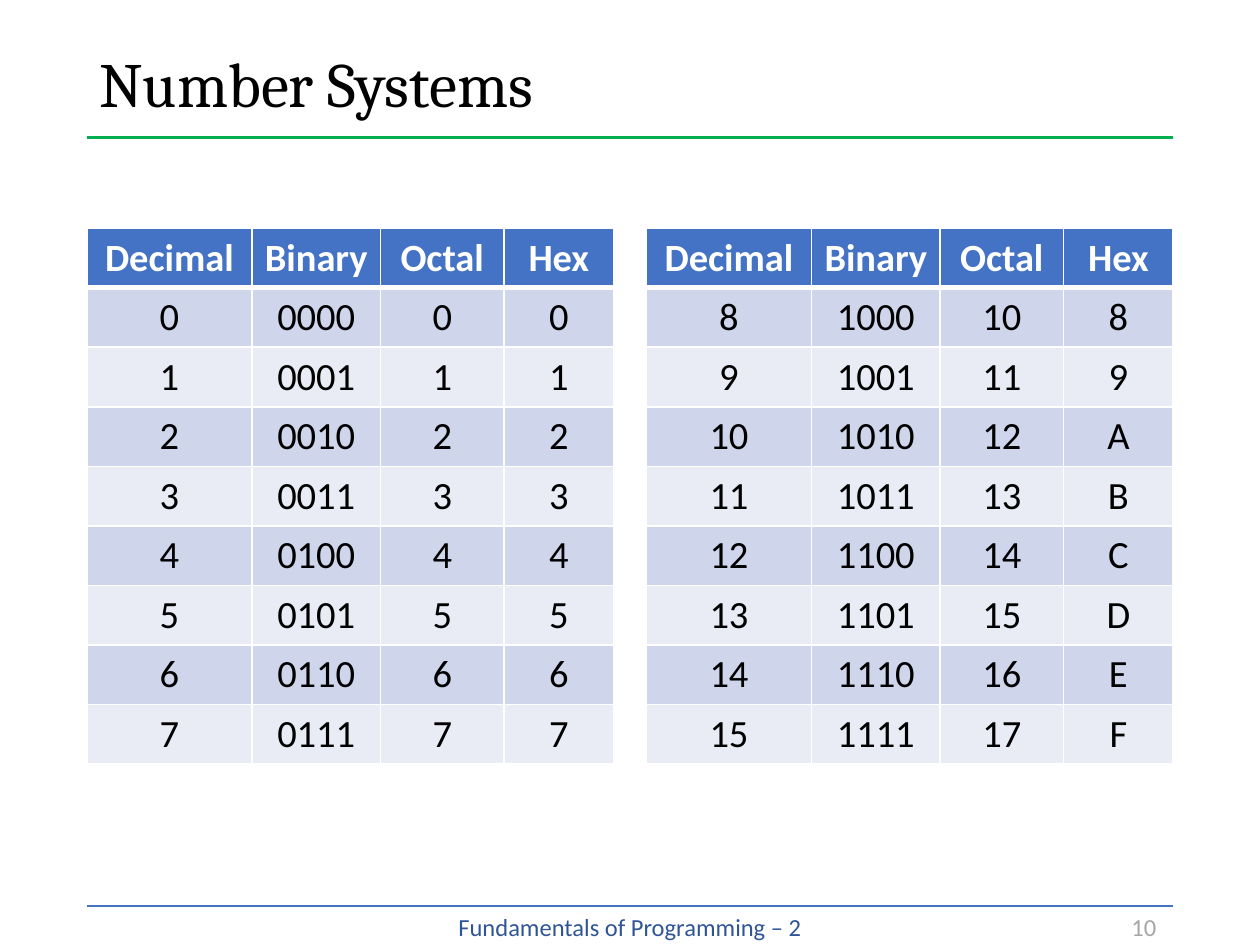
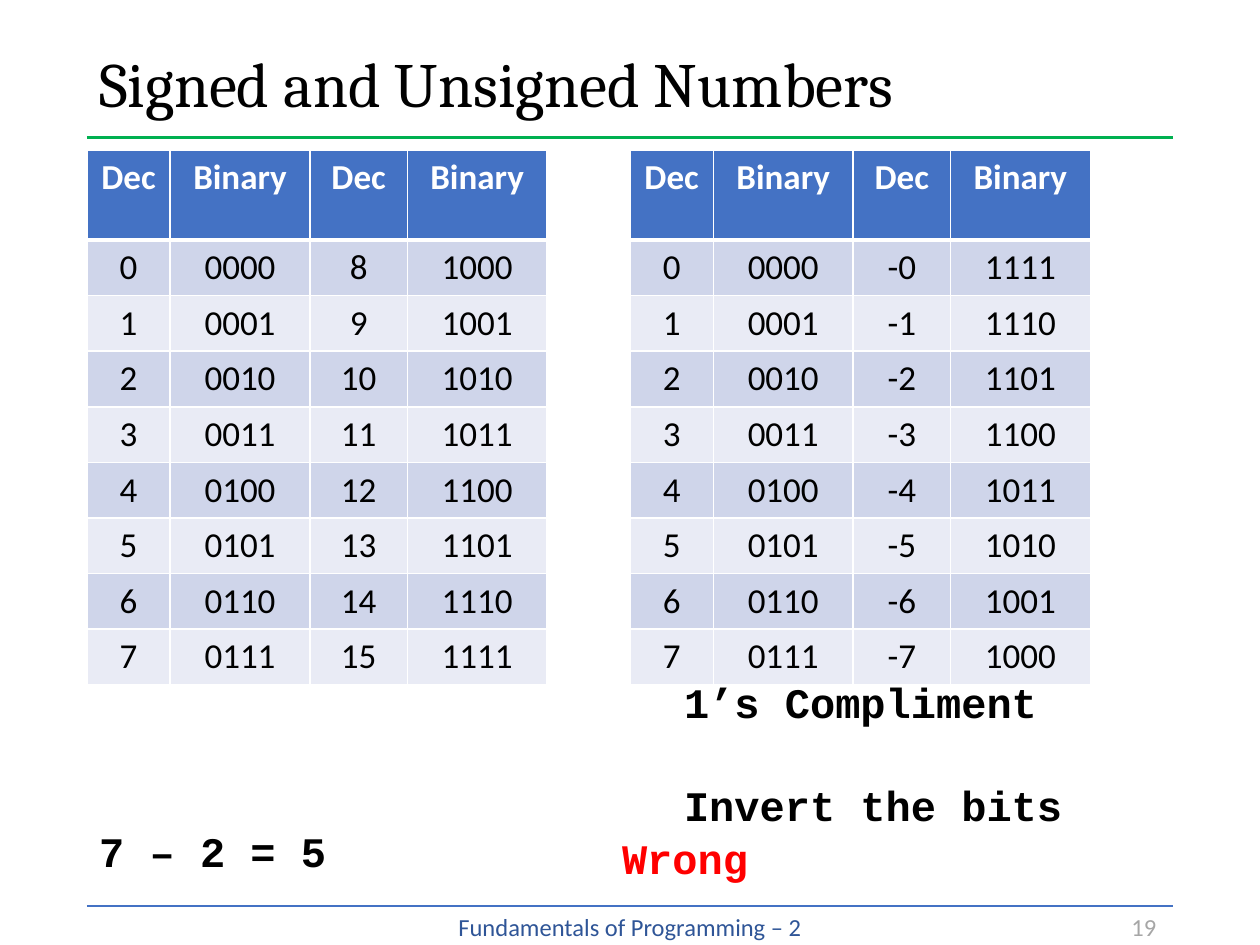
"""Build two slides of number tables: number systems and signed numbers."""
from lxml import etree
from pptx import Presentation, util as u
from pptx.dml.color import RGBColor
from pptx.enum import shapes, text
from pptx.oxml.ns import qn

FOOTER = "Fundamentals of Programming – 2"
SYSTEMS_HEADER = ("Decimal", "Binary", "Octal", "Hex")
SIGNED_HEADER = ("Dec", "Binary") * 2


def bits(number):
    return f"{number:04b}"


def systems_rows(first):
    return [(str(n), bits(n), f"{n:o}", f"{n:X}") for n in range(first, first + 8)]


UNSIGNED_ROWS = [(str(n), bits(n), str(n + 8), bits(n + 8)) for n in range(8)]
COMPLEMENT_ROWS = [(str(n), bits(n), f"-{n}", bits(15 - n)) for n in range(8)]

WIDTH, HEIGHT = 25.4, 19.05
MARGIN = 1.75
INNER = WIDTH - 2 * MARGIN
TITLE_TOP, TITLE_RULE, FOOTER_RULE = 0.74, 2.77, 18.26
NUMBER_WIDTH = 1.09
SYSTEMS_COLUMNS = (3.33, 2.59, 2.49, 2.21)
SIGNED_COLUMNS = (1.68, 2.82, 1.96, 2.82)

BLACK, WHITE, RED, GREEN, BLUE = "000000", "FFFFFF", "FF0000", "00B050", "4472C4"
BANDS = ("CFD5EA", "E9EBF5")
CENTER = text.PP_ALIGN.CENTER

TITLE = {"size": 36, "name": "Cambria", "color": BLACK}
FOOTNOTE = {"size": 14, "name": "Calibri", "color": "2F5597"}
NUMBER = {**FOOTNOTE, "color": "A6A6A6"}
CODE = {"size": 24, "name": "Courier New", "color": BLACK, "bold": True}

SLIDES = [
    {
        "title": "Number Systems",
        "number": "10",
        "layout": {"top": 4.6, "columns": SYSTEMS_COLUMNS, "heights": (1.2, 1.2), "size": 22},
        "tables": [
            (MARGIN, SYSTEMS_HEADER, systems_rows(0)),
            (WIDTH - MARGIN - sum(SYSTEMS_COLUMNS), SYSTEMS_HEADER, systems_rows(8)),
        ],
        "remarks": [],
    },
    {
        "title": "Signed and Unsigned Numbers",
        "number": "19",
        "layout": {"top": 3.02, "columns": SIGNED_COLUMNS, "heights": (1.82, 1.12), "size": 20},
        "tables": [
            (MARGIN, SIGNED_HEADER, UNSIGNED_ROWS),
            (WIDTH / 2, SIGNED_HEADER, COMPLEMENT_ROWS),
        ],
        "remarks": [
            ((MARGIN, 16.51, 5.13, 1.27), ["7 – 2 = 5"], BLACK),
            ((12.29, 16.66, 3.07, 1.27), ["Wrong"], RED),
            ((13.54, 13.51, 8.2, 3.33), ["1’s Compliment", "Invert the bits"], BLACK),
        ],
    },
]


def rgb(code):
    return RGBColor.from_string(code)


def write(paragraph, words, look, align=None):
    run = paragraph.add_run()
    run.text = words
    paragraph.alignment = align
    values = {**look, "size": u.Pt(look["size"])}
    run.font.color.rgb = rgb(values.pop("color"))
    for key, value in values.items():
        setattr(run.font, key, value)


def add_text(slide, place, lines, look, align=None, wrap=True, gap=0, **frame_format):
    frame = slide.shapes.add_textbox(*map(u.Cm, place)).text_frame
    for key, value in {"word_wrap": wrap, **frame_format}.items():
        setattr(frame, key, value)
    for index, words in enumerate(lines):
        paragraph = frame.add_paragraph() if index else frame.paragraphs[0]
        write(paragraph, words, look, align)
        if index:
            paragraph.space_before = u.Pt(gap)
    return frame


def add_rule(slide, top, color, width):
    ends = (MARGIN, top, MARGIN + INNER, top)
    rule = slide.shapes.add_connector(shapes.MSO_CONNECTOR.STRAIGHT, *map(u.Cm, ends))
    rule.line.color.rgb = rgb(color)
    rule.line.width = u.Pt(width)
    etree.SubElement(rule._element.spPr, qn("a:effectLst"))


def add_borders(cell, row):
    widths = {"lnL": 1, "lnR": 1, "lnT": 3 if row == 1 else 1, "lnB": 1 if row else 3}
    properties = cell._tc.get_or_add_tcPr()
    for index, (side, width) in enumerate(widths.items()):
        border = etree.Element(qn(f"a:{side}"), w=str(u.Pt(width)))
        fill = etree.SubElement(border, qn("a:solidFill"))
        etree.SubElement(fill, qn("a:srgbClr"), val=WHITE)
        properties.insert(index, border)


def add_table(slide, left, header, rows, top, columns, heights, size):
    head_height, row_height = heights
    place = (left, top, sum(columns), head_height + row_height * len(rows))
    grid = slide.shapes.add_table(len(rows) + 1, len(columns), *map(u.Cm, place)).table
    for column, width in zip(grid.columns, columns):
        column.width = u.Cm(width)
    for r, values in enumerate([header, *rows]):
        grid.rows[r].height = u.Cm(row_height if r else head_height)
        look = {"size": size, "name": "Calibri", "color": BLACK if r else WHITE, "bold": r == 0}
        for c, value in enumerate(values):
            cell = grid.cell(r, c)
            cell.margin_left = cell.margin_right = u.Cm(0.1)
            cell.fill.solid()
            cell.fill.fore_color.rgb = rgb(BANDS[(r - 1) % 2] if r else BLUE)
            add_borders(cell, r)
            write(cell.text_frame.paragraphs[0], value, look, CENTER)


def add_frame(slide, title, number):
    footer_height = HEIGHT - FOOTER_RULE
    add_text(slide, (MARGIN, FOOTER_RULE, INNER, footer_height), [FOOTER], FOOTNOTE, CENTER)
    add_rule(slide, FOOTER_RULE, BLUE, 1)
    add_rule(slide, TITLE_RULE, GREEN, 2)
    heading = add_text(slide, (MARGIN, TITLE_TOP, INNER, TITLE_RULE - TITLE_TOP), [title], TITLE,
                       vertical_anchor=text.MSO_ANCHOR.MIDDLE)
    heading.paragraphs[0].line_spacing = 0.9
    number_left = MARGIN + INNER - NUMBER_WIDTH
    add_text(slide, (number_left, FOOTER_RULE, NUMBER_WIDTH, footer_height), [number], NUMBER,
             wrap=False)


def main():
    deck = Presentation()
    deck.slide_width, deck.slide_height = u.Cm(WIDTH), u.Cm(HEIGHT)
    for content in SLIDES:
        slide = deck.slides.add_slide(deck.slide_layouts[6])
        add_frame(slide, content["title"], content["number"])
        for left, header, rows in content["tables"]:
            add_table(slide, left, header, rows, **content["layout"])
        for place, lines, color in content["remarks"]:
            add_text(slide, place, lines, {**CODE, "color": color}, wrap=False, gap=30)
    deck.save("out.pptx")


if __name__ == "__main__":
    main()
